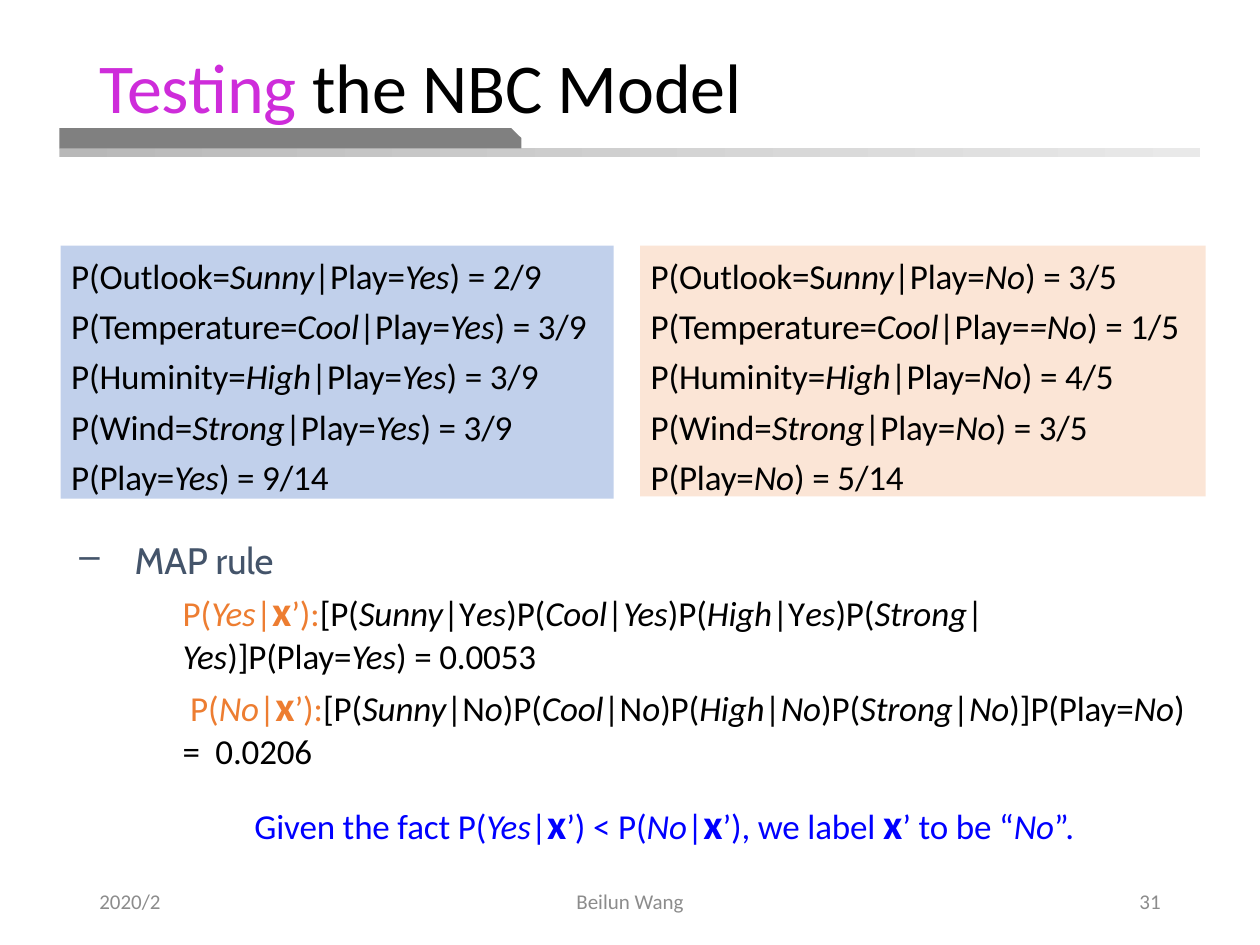
import pptx
import pptx.util
import pptx.dml.color
import pptx.enum.shapes
import pptx.enum.text
import pptx.oxml.ns
import lxml.etree
from dataclasses import dataclass

Pt = pptx.util.Pt
ALIGN = pptx.enum.text.PP_ALIGN
ANCHOR = pptx.enum.text.MSO_ANCHOR
SHAPE = pptx.enum.shapes.MSO_SHAPE


@dataclass
class Theme:
    font: str = "Calibri"
    heading_font: str = "Cabin"
    title_size: float = 40
    heading_size: float = 21
    body_size: float = 20
    vector_size: float = 24
    footer_size: float = 12
    black: str = "000000"
    magenta: str = "CE2CDA"
    slate: str = "44546A"
    orange: str = "ED7D31"
    blue: str = "0000FF"
    gray: str = "8C8C8C"
    bar: str = "808080"
    rule_start: str = "B8B8B8"
    rule_end: str = "E9E9E9"
    yes_fill: str = "4472C4"
    no_fill: str = "F4B183"


def rgb(value):
    return pptx.dml.color.RGBColor.from_string(value)


def split_marks(text):
    """Yield (text, marks): * toggles italic, # bold vector, ~ accent colour."""
    marks, part = set(), ""
    for character in text:
        if character in "*#~":
            if part:
                yield part, frozenset(marks)
            marks ^= {character}
            part = ""
        else:
            part += character
    if part:
        yield part, frozenset(marks)


class SlideBuilder:
    def __init__(self, slide, theme):
        self.slide = slide
        self.theme = theme

    def add_runs(self, paragraph, text, size, color, font=None, accent=None, spacing=-0.1):
        for part, marks in split_marks(text):
            run = paragraph.add_run()
            run.text = part
            run.font.name = font or self.theme.font
            run.font.size = Pt(self.theme.vector_size if "#" in marks else size)
            run.font.bold = "#" in marks
            run.font.italic = "*" in marks
            run.font.color.rgb = rgb(accent if "~" in marks else color)
            run._r.get_or_add_rPr().set("spc", str(round(spacing * 100)))

    def indent(self, paragraph, left, first=0, bullet=None):
        properties = paragraph._p.get_or_add_pPr()
        properties.set("marL", str(Pt(left)))
        properties.set("indent", str(Pt(first)))
        if bullet:
            tag = pptx.oxml.ns.qn("a:buChar")
            lxml.etree.SubElement(properties, tag).set("char", bullet)

    def frame(self, shape, inset=None, anchor=ANCHOR.TOP):
        frame = shape.text_frame
        frame.word_wrap = True
        frame.vertical_anchor = anchor
        if inset is not None:
            frame.margin_left = frame.margin_right = Pt(inset)
            frame.margin_top = frame.margin_bottom = Pt(inset)
        return frame

    def block(self, kind, left, top, width, height, color, end_color=None, alpha=None):
        shape = self.slide.shapes.add_shape(kind, Pt(left), Pt(top), Pt(width), Pt(height))
        shape.shadow.inherit = False
        shape.line.fill.background()
        if end_color:
            shape.fill.gradient()
            shape.fill.gradient_angle = 0
            for stop, stop_color in zip(shape.fill.gradient_stops, (color, end_color)):
                stop.color.rgb = rgb(stop_color)
        else:
            shape.fill.solid()
            shape.fill.fore_color.rgb = rgb(color)
        if alpha:
            tag = pptx.oxml.ns.qn("a:srgbClr")
            fill_color = next(shape._element.spPr.iter(tag))
            alpha_tag = pptx.oxml.ns.qn("a:alpha")
            lxml.etree.SubElement(fill_color, alpha_tag).set("val", str(alpha * 1000))
        return shape

    def title(self, text, left, top, width, height):
        shape = self.slide.shapes.title
        shape.left, shape.top, shape.width, shape.height = map(Pt, (left, top, width, height))
        paragraph = self.frame(shape, anchor=ANCHOR.MIDDLE).paragraphs[0]
        paragraph.alignment = ALIGN.LEFT
        paragraph.line_spacing = 0.9
        self.add_runs(paragraph, text, self.theme.title_size, self.theme.black,
                      accent=self.theme.magenta)

    def text_box(self, left, top, width, height, inset=None, anchor=ANCHOR.TOP):
        shape = self.slide.shapes.add_textbox(Pt(left), Pt(top), Pt(width), Pt(height))
        return self.frame(shape, inset, anchor)

    def panel(self, lines, left, top, width, height, color):
        shape = self.block(SHAPE.RECTANGLE, left, top, width, height, color, alpha=33)
        frame = self.frame(shape, inset=0)
        for index, line in enumerate(lines):
            paragraph = frame.add_paragraph() if index else frame.paragraphs[0]
            paragraph.alignment = ALIGN.LEFT
            paragraph.line_spacing = 1.2
            self.indent(paragraph, 6)
            self.add_runs(paragraph, line, self.theme.body_size, self.theme.black)

    def footer(self, text, left, width, alignment):
        paragraph = self.text_box(left, 500.4, width, 28.8, anchor=ANCHOR.MIDDLE).paragraphs[0]
        paragraph.alignment = alignment
        self.add_runs(paragraph, text, self.theme.footer_size, self.theme.gray, spacing=0)


def main():
    presentation = pptx.Presentation()
    presentation.slide_width, presentation.slide_height = Pt(720), Pt(540)
    slide = presentation.slides.add_slide(presentation.slide_layouts[5])
    theme = Theme()
    builder = SlideBuilder(slide, theme)

    # Title and the bars under it
    builder.block(SHAPE.RECTANGLE, 34, 84.5, 652, 5.5, theme.rule_start, theme.rule_end)
    bar = builder.block(SHAPE.SNIP_1_RECTANGLE, 34, 73.2, 264, 11.6, theme.bar)
    bar.adjustments[0] = 0.5
    builder.title("~Testing~ the NBC Model", 49.7, 28.8, 603.4, 46)

    # Conditional probabilities for each class
    builder.panel([
        "P(Outlook=*Sunny*|Play=*Yes*) = 2/9",
        "P(Temperature=*Cool*|Play=*Yes*) = 3/9",
        "P(Huminity=*High*|Play=*Yes*) = 3/9",
        "P(Wind=*Strong*|Play=*Yes*) = 3/9",
        "P(Play=*Yes*) = 9/14",
    ], 34.7, 140.4, 316, 144.6, theme.yes_fill)
    builder.panel([
        "P(Outlook=S*unny*|Play=*No*) = 3/5",
        "P(Temperature=*Cool*|Play=*=No*) = 1/5",
        "P(Huminity=*High*|Play=*No*) = 4/5",
        "P(Wind=*Strong*|Play=*No*) = 3/5",
        "P(Play=*No*) = 5/14",
    ], 365.8, 140.4, 323.2, 143.3, theme.no_fill)

    # MAP rule heading
    frame = builder.text_box(44.6, 305.3, 642.2, 182, inset=0)
    frame.margin_top = Pt(2)
    heading = frame.paragraphs[0]
    heading.space_before = Pt(2.4)
    builder.indent(heading, 32.4, -31.7, bullet="–")
    builder.add_runs(heading, "MAP rule", theme.heading_size, theme.slate, theme.heading_font)

    # Posteriors and conclusion: text, left indent, first line, space before, colour
    for text, left, first, before, color in [
        ("~P(*Yes*|#x#’):~[P(*Sunny*|Y*es*)P(*Cool*|*Yes*)P(*High*|Y*es*)"
         "P(*Strong*|*Yes*)]P(Play=*Yes*) = 0.0053", 59.8, 0, 1.3, theme.black),
        ("~P(*No*|#x#’):~[P(*Sunny*|N*o*)P(*Cool*|N*o*)P(*High*|*No*)"
         "P(*Strong*|*No*)]P(Play=*No*) =  0.0206", 59.8, 4.3, 1.4, theme.black),
        ("Given the fact P(*Yes*|#x#’) < P(*No*|#x#’), we label #x#’ to be “*No*”.",
         100.8, 0, 14.7, theme.blue),
    ]:
        paragraph = frame.add_paragraph()
        paragraph.space_before = Pt(before)
        builder.indent(paragraph, left, first)
        builder.add_runs(paragraph, text, theme.body_size, color, accent=theme.orange)

    # Footer
    builder.footer("2020/2", 49.7, 162, ALIGN.LEFT)
    builder.footer("Beilun Wang", 238.3, 243.4, ALIGN.CENTER)
    builder.footer("31", 508.3, 162, ALIGN.RIGHT)

    presentation.save("out.pptx")


if __name__ == "__main__":
    main()
